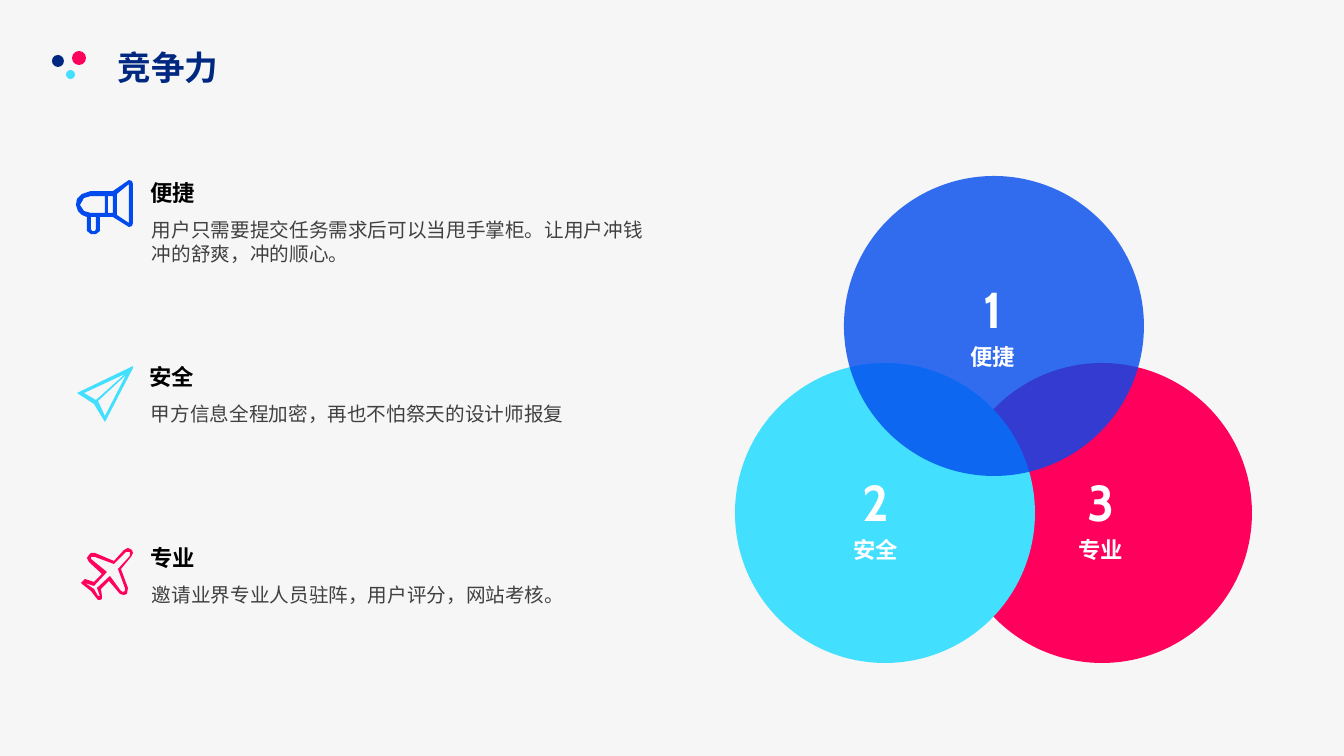
from lxml.etree import SubElement
from pptx import Presentation
from pptx.dml.color import RGBColor
from pptx.enum.shapes import MSO_SHAPE
from pptx.enum.text import MSO_ANCHOR, MSO_AUTO_SIZE, PP_ALIGN
from pptx.oxml.ns import qn
from pptx.util import Pt

PX = 914400 / 100.8  # EMU in one px

THEME = {
    "paper": "F6F6F6", "navy": "002880", "blue": "004AEE", "cyan": "42DFFF", "red": "FF005C",
    "title": {"name": "Cabin", "size": 24, "bold": True, "color": "002880"},
    "heading": {"name": "Cabin", "size": 16, "bold": True, "color": "000000"},
    "detail": {"name": "Arial", "size": 14, "bold": False, "color": "404040"},
    "number": {"name": "Cabin", "size": 36, "bold": True, "color": "FFFFFF"},
    "label": {"name": "Cabin", "size": 16, "bold": True, "color": "FFFFFF"},
}


def write(box, place, text, style, align=PP_ALIGN.LEFT, inset=(0, 0), spacing=None):
    """Place a text box (px) and fill it with one styled paragraph."""
    for side, length in zip(("left", "top", "width", "height"), place):
        setattr(box, side, round(length * PX))
    across, down = (round(length * PX) for length in inset)
    frame = box.text_frame
    frame_format = {
        "word_wrap": True, "auto_size": MSO_AUTO_SIZE.NONE, "vertical_anchor": MSO_ANCHOR.TOP,
        "margin_left": across, "margin_right": across, "margin_top": down, "margin_bottom": down,
    }
    for name, value in frame_format.items():
        setattr(frame, name, value)
    para = frame.paragraphs[0]
    para.alignment = align
    if spacing:
        para.line_spacing = spacing
    span = para.add_run()
    span.text = text
    look = THEME[style]
    for name, value in {"name": look["name"], "size": Pt(look["size"]), "bold": look["bold"]}.items():
        setattr(span.font, name, value)
    span.font.color.rgb = RGBColor.from_string(look["color"])


def paint(shape, color):
    """Flat fill without line or shadow."""
    shape.shadow.inherit = False
    shape.fill.solid()
    shape.fill.fore_color.rgb = RGBColor.from_string(THEME[color])
    shape.line.fill.background()


deck = Presentation()
deck.slide_width, deck.slide_height = round(1344 * PX), round(756 * PX)
page = deck.slides.add_slide(deck.slide_layouts[5])
page.background.fill.solid()
page.background.fill.fore_color.rgb = RGBColor.from_string(THEME["paper"])
shapes = page.shapes

# Title with its three dots
write(shapes.title, (24, 34, 288, 54), "竞争力", "title", PP_ALIGN.CENTER, (10, 5), 1.2)
for left, top, size, color in [(66, 70, 9, "cyan"), (52, 55, 12, "navy"), (72, 51, 14, "red")]:
    dot = shapes.add_shape(MSO_SHAPE.OVAL, *(round(n * PX) for n in (left, top, size, size)))
    paint(dot, color)

# Icon outlines: the outer contour first, then the holes
MEGAPHONE = [
    [(129, 180), (113, 191), (91, 191), (82, 194), (77, 199), (76, 205), (78, 211), (82, 215),
     (87, 217), (87, 231), (91, 234), (96, 234), (100, 231), (100, 217), (113, 217), (129, 227),
     (132, 226), (133, 223), (133, 184), (132, 181)],
    [(96, 229), (95, 231), (92, 231), (91, 229), (91, 217), (96, 217)],
    [(105, 213), (91, 213), (84, 211), (80, 205), (84, 198), (91, 196), (105, 196)],
    [(113, 213), (108, 213), (108, 196), (113, 196)],
    [(129, 223), (117, 215), (117, 194), (129, 184)],
]
PAPER_PLANE = [
    [(131, 367), (77, 393), (94, 404), (105, 422), (133, 368), (133, 366)],
    [(84, 393), (125, 374), (96, 400)],
    [(105, 416), (98, 401), (126, 375)],
]
AIRPLANE = [
    [(132, 550), (128, 548), (124, 550), (114, 561), (95, 553), (91, 553), (89, 555), (87, 558),
     (89, 562), (102, 574), (94, 582), (85, 579), (83, 581), (81, 583), (82, 584), (91, 591),
     (98, 600), (100, 600), (102, 599), (102, 596), (101, 589), (109, 581), (120, 594),
     (124, 595), (127, 594), (128, 588), (121, 569), (131, 557), (133, 553)],
    [(130, 556), (118, 569), (125, 588), (125, 591), (123, 592), (121, 591), (110, 576),
     (97, 588), (100, 596), (98, 596), (94, 589), (85, 583), (94, 586), (107, 572), (91, 559),
     (91, 557), (95, 557), (114, 564), (126, 552), (130, 552)],
]

# Strengths on the left: icon, heading and detail
strengths = [
    ("便捷", "用户只需要提交任务需求后可以当甩手掌柜。让用户冲钱冲的舒爽，冲的顺心。",
     137, 172, MEGAPHONE, "blue"),
    ("安全", "甲方信息全程加密，再也不怕祭天的设计师报复", 136, 356, PAPER_PLANE, "cyan"),
    ("专业", "邀请业界专业人员驻阵，用户评分，网站考核。", 137, 537, AIRPLANE, "red"),
]
for heading, detail, left, top, contours, color in strengths:
    outline = shapes.build_freeform(*contours[0][0], scale=PX)
    outline.add_line_segments(contours[0][1:], close=True)
    for hole in contours[1:]:
        outline.move_to(*hole[0])
        outline.add_line_segments(hole[1:], close=True)
    paint(outline.convert_to_shape(), color)
    write(shapes.add_textbox(0, 0, 0, 0), (left, top, 345, 40), heading, "heading", inset=(13, 7))
    write(shapes.add_textbox(0, 0, 0, 0), (left + 15, top + 46, 507, 47), detail, "detail")

# Overlapping circles on the right, from back to front
circles = [
    ("3", "专业", 952, 363, "red", 1101, 466, 100),
    ("2", "安全", 735, 363, "cyan", 876, 466, 100),
    ("1", "便捷", 844, 176, "blue", 993, 273, 80),
]
for number, label, left, top, color, middle, text_top, opacity in circles:
    circle = shapes.add_shape(MSO_SHAPE.OVAL, *(round(n * PX) for n in (left, top, 300, 300)))
    paint(circle, color)
    if opacity < 100:
        tint = circle.fill._xPr.find(qn("a:solidFill"))[0]
        SubElement(tint, qn("a:alpha"), val=str(opacity * 1000))
    write(shapes.add_textbox(0, 0, 0, 0), (middle - 33, text_top, 66, 72),
          number, "number", PP_ALIGN.CENTER, (10, 5))
    write(shapes.add_textbox(0, 0, 0, 0), (middle - 60, text_top + 68, 120, 29),
          label, "label", PP_ALIGN.CENTER, (5, 2))

deck.save("out.pptx")
